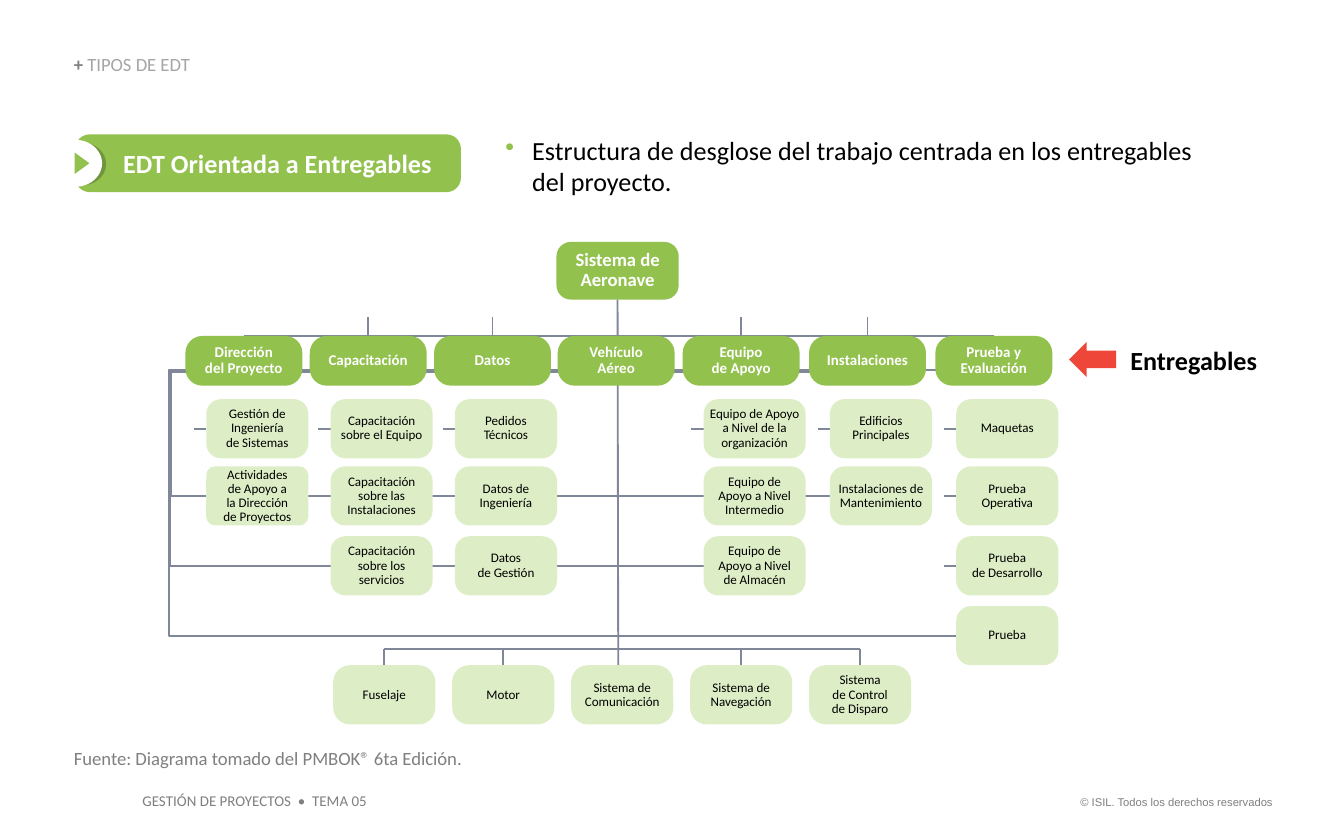
from dataclasses import dataclass

from lxml import etree
from pptx import Presentation
from pptx.dml.color import RGBColor
from pptx.enum.shapes import MSO_CONNECTOR, MSO_SHAPE
from pptx.enum.text import MSO_ANCHOR, MSO_AUTO_SIZE, PP_ALIGN
from pptx.oxml.ns import qn
from pptx.util import Inches, Pt

ROUNDED, OVAL = MSO_SHAPE.ROUNDED_RECTANGLE, MSO_SHAPE.OVAL
TRIANGLE, LEFT_ARROW = MSO_SHAPE.ISOSCELES_TRIANGLE, MSO_SHAPE.LEFT_ARROW
STRAIGHT, ELBOW = MSO_CONNECTOR.STRAIGHT, MSO_CONNECTOR.ELBOW
LEFT, CENTER, RIGHT = PP_ALIGN.LEFT, PP_ALIGN.CENTER, PP_ALIGN.RIGHT
TOP, MIDDLE, BOTTOM = MSO_ANCHOR.TOP, MSO_ANCHOR.MIDDLE, MSO_ANCHOR.BOTTOM
NO_FIT = MSO_AUTO_SIZE.NONE
TITLE_ONLY = 5
COLUMNS, ROWS = 100, 62.5
SIDE_TOP, SIDE_LEFT, SIDE_BOTTOM = 0, 1, 2

BRANCHES = [
    (13.8, "Dirección\ndel Proyecto", [
        "Gestión de Ingeniería de Sistemas",
        "Actividades de Apoyo a la Dirección de Proyectos"]),
    (23.05, "Capacitación", [
        "Capacitación sobre el Equipo",
        "Capacitación sobre las Instalaciones",
        "Capacitación sobre los\nservicios"]),
    (32.3, "Datos", [
        "Pedidos\nTécnicos", "Datos de Ingeniería", "Datos\nde Gestión"]),
    (41.5, "Vehículo Aéreo", []),
    (50.8, "Equipo\nde Apoyo", [
        "Equipo de Apoyo a Nivel de la organización",
        "Equipo de\nApoyo a Nivel Intermedio",
        "Equipo de\nApoyo a Nivel\nde Almacén"]),
    (60.2, "Instalaciones", [
        "Edificios Principales", "Instalaciones de Mantenimiento"]),
    (69.6, "Prueba y Evaluación", [
        "Maquetas", "Prueba\nOperativa", "Prueba\nde Desarrollo", "Prueba"]),
]
COMPONENTS = ["Fuselaje", "Motor", "Sistema de Comunicación",
              "Sistema de Navegación", "Sistema\nde Control\nde Disparo"]
LEAF_ROWS = [29.7, 34.7, 39.9, 45.1]
LEAF_SIZE = (7.6, 4.4)
HEADER_ROW, HEADER_SIZE = 25, (8.7, 3.7)
COMPONENT_ROW, BUS_ROW = 49.5, 48.3
TRUNK, SPINE, STUB = 46, 12.7, 0.9


@dataclass(frozen=True)
class Theme:
    """Colours, fonts and type sizes of the deck."""
    green: str = "92C14E"
    dark_green: str = "6F953D"
    pale: str = "DDEEC7"
    line: str = "808799"
    red: str = "EE4638"
    white: str = "FFFFFF"
    black: str = "000000"
    gray: str = "7F7F7F"
    light_gray: str = "A5A5A5"
    font: str = "Calibri"
    legal_font: str = "Arial"
    legal: int = 6
    leaf: int = 7
    header: int = 8
    body: int = 10
    lead: int = 14


class Board:
    """Draws styled elements on the current page, measured in grid cells."""

    def __init__(self, deck, theme):
        self.theme = theme
        self.cell_width = deck.slide_width / COLUMNS
        self.cell_height = deck.slide_height / ROWS
        self.page = deck.slides.add_slide(deck.slide_layouts[TITLE_ONLY])

    def across(self, columns):
        return round(columns * self.cell_width)

    def down(self, rows):
        return round(rows * self.cell_height)

    def place(self, left, top, width, height):
        return self.across(left), self.down(top), self.across(width), self.down(height)

    def set_text(self, box, spans, size, align=LEFT, anchor=TOP, spacing=1.0,
                 sides=(0, 0), font=None):
        frame = box.text_frame
        frame.word_wrap, frame.auto_size = True, NO_FIT
        frame.vertical_anchor = anchor
        frame.margin_left, frame.margin_right = map(self.across, sides)
        frame.margin_top = frame.margin_bottom = 0
        para = frame.paragraphs[0]
        para.alignment, para.line_spacing = align, spacing
        for text, color, bold in spans:
            for number, part in enumerate(text.split("\n")):
                if number:
                    para.add_line_break()
                span = para.add_run()
                span.text = part
                span.font.name = font or self.theme.font
                span.font.size, span.font.bold = Pt(size), bold
                span.font.color.rgb = RGBColor.from_string(color)
        return para

    def title(self, area, spans):
        box = self.page.shapes.title
        box.left, box.top, box.width, box.height = self.place(*area)
        self.set_text(box, spans, self.theme.body, anchor=BOTTOM, spacing=0.9)

    def label(self, area, text, size, color, bold=False, **style):
        box = self.page.shapes.add_textbox(*self.place(*area))
        return self.set_text(box, [(text, color, bold)], size, **style)

    def bullet(self, area, text):
        para = self.label(area, text, self.theme.lead, self.theme.black)
        properties = para._p.get_or_add_pPr()
        properties.set("marL", str(self.across(2)))
        properties.set("indent", str(-self.across(2)))
        tint = etree.SubElement(properties, qn("a:buClr"))
        etree.SubElement(tint, qn("a:srgbClr"), val=self.theme.green)
        etree.SubElement(properties, qn("a:buChar"), char="•")

    def shape(self, kind, area, fill, turn=0):
        box = self.page.shapes.add_shape(kind, *self.place(*area))
        box.shadow.inherit = False
        box.fill.solid()
        box.fill.fore_color.rgb = RGBColor.from_string(fill)
        box.line.fill.background()
        box.rotation = turn
        return box

    def card(self, area, text, size, fill, color, bold=True, curve=0.25,
             sides=(0, 0), spacing=0.9):
        box = self.shape(ROUNDED, area, fill)
        box.adjustments[0] = curve
        self.set_text(box, [(text, color, bold)], size, CENTER, MIDDLE, spacing, sides)
        return box

    def leaf(self, left, top, text, **style):
        return self.card((left, top, *LEAF_SIZE), text, self.theme.leaf,
                         self.theme.pale, self.theme.black, False, **style)

    def link(self, start, end, kind=STRAIGHT):
        line = self.page.shapes.add_connector(
            kind, self.across(start[0]), self.down(start[1]),
            self.across(end[0]), self.down(end[1]))
        line.line.color.rgb = RGBColor.from_string(self.theme.line)
        line.line.width = Pt(1)
        etree.SubElement(line._element.spPr, qn("a:effectLst"))
        return line

    def bend(self, line, column):
        share = (self.across(column) - line.begin_x) / (line.end_x - line.begin_x)
        guides = line._element.spPr.find(qn("a:prstGeom")).get_or_add_avLst()
        etree.SubElement(guides, qn("a:gd"), name="adj1",
                         fmla=f"val {round(share * 100000)}")


def draw_branches(board):
    theme = board.theme
    pending = []
    for left, _, leaves in BRANCHES:
        edge = left + 1.55
        for number, text in enumerate(leaves):
            middle = LEAF_ROWS[number] + LEAF_SIZE[1] / 2
            last = number == len(leaves) - 1
            origin = (27.7 if len(leaves) == 2 else 27.5) if last else middle
            line = board.link((edge - STUB, origin), (edge, middle),
                              ELBOW if last else STRAIGHT)
            pending.append((line, last, edge, number, text, left == BRANCHES[0][0]))
    root = board.card((41.4, 18, 9.1, 4.3), "Sistema de Aeronave", theme.body,
                      theme.green, theme.white, sides=(1, 1))
    trunk = board.link((TRUNK, 22.3), (TRUNK, COMPONENT_ROW))
    trunk.begin_connect(root, SIDE_BOTTOM)
    for line, last, edge, number, text, first in pending:
        curve = 0.15 if text.startswith("Actividades") else 0.25
        box = board.leaf(edge, LEAF_ROWS[number], text, curve=curve,
                         sides=(1, 1) if first else (0, 0))
        line.end_connect(box, SIDE_LEFT)
        if last:
            board.bend(line, SPINE)


def draw_headers(board):
    theme = board.theme
    half = HEADER_SIZE[0] / 2
    board.link((BRANCHES[0][0] + half, HEADER_ROW), (BRANCHES[-1][0] + half, HEADER_ROW))
    for number, (left, text, _) in enumerate(BRANCHES):
        box = board.card((left, HEADER_ROW, *HEADER_SIZE), text, theme.header,
                         theme.green, theme.white, curve=0.34, sides=(0.5, 0.5))
        if number in (1, 2, 4, 5):
            drop = board.link((left + half, 23.6), (left + half, HEADER_ROW))
            drop.end_connect(box, SIDE_TOP)


def draw_components(board):
    lefts = [24.8 + 8.85 * number for number in range(len(COMPONENTS))]
    half = LEAF_SIZE[0] / 2
    board.link((lefts[0] + half, BUS_ROW), (lefts[-1] + half, BUS_ROW))
    for number, (left, text) in enumerate(zip(lefts, COMPONENTS)):
        box = board.leaf(left, COMPONENT_ROW, text, curve=0.28)
        if number != 2:
            drop = board.link((left + half, BUS_ROW), (left + half, COMPONENT_ROW))
            drop.end_connect(box, SIDE_TOP)


def draw_badge(board):
    theme = board.theme
    board.card((5.6, 10, 28.7, 4.3), "EDT Orientada a Entregables", theme.lead,
               theme.green, theme.white, sides=(2.4, 1), spacing=1.0)
    board.shape(OVAL, (4.2, 10.6, 3.7, 3.2), theme.dark_green)
    board.shape(OVAL, (3.6, 10.4, 4, 3.5), theme.white)
    board.shape(TRIANGLE, (5.3, 11.6, 1.6, 1.1), theme.green, turn=90)


def main():
    deck = Presentation()
    deck.slide_width, deck.slide_height = Inches(10), Inches(6.25)
    theme = Theme()
    board = Board(deck, theme)
    board.title((5.5, 4.1, 26.6, 1.5), [("+ ", theme.gray, True),
                                      ("TIPOS DE EDT", theme.light_gray, False)])
    draw_branches(board)
    draw_components(board)
    draw_headers(board)
    draw_badge(board)
    board.bullet((37.6, 10, 52.9, 4.7),
                 "Estructura de desglose del trabajo centrada en los entregables del proyecto.")
    board.label((84.1, 25.6, 10.5, 2.4), "Entregables", theme.lead, theme.black, True)
    board.shape(LEFT_ARROW, (79.55, 25.45, 3.5, 2.6), theme.red)
    board.label((5.5, 55.6, 65.4, 1.7), "Fuente: Diagrama tomado del PMBOK® 6ta Edición.",
                theme.body, theme.gray)
    board.label((10.6, 58.9, 20, 1.4), "GESTIÓN DE PROYECTOS  •  TEMA 05",
                theme.header, theme.gray)
    board.label((79.1, 59.2, 15.6, 1), "© ISIL. Todos los derechos reservados",
                theme.legal, theme.gray, align=RIGHT, font=theme.legal_font)
    deck.save("out.pptx")


if __name__ == "__main__":
    main()
